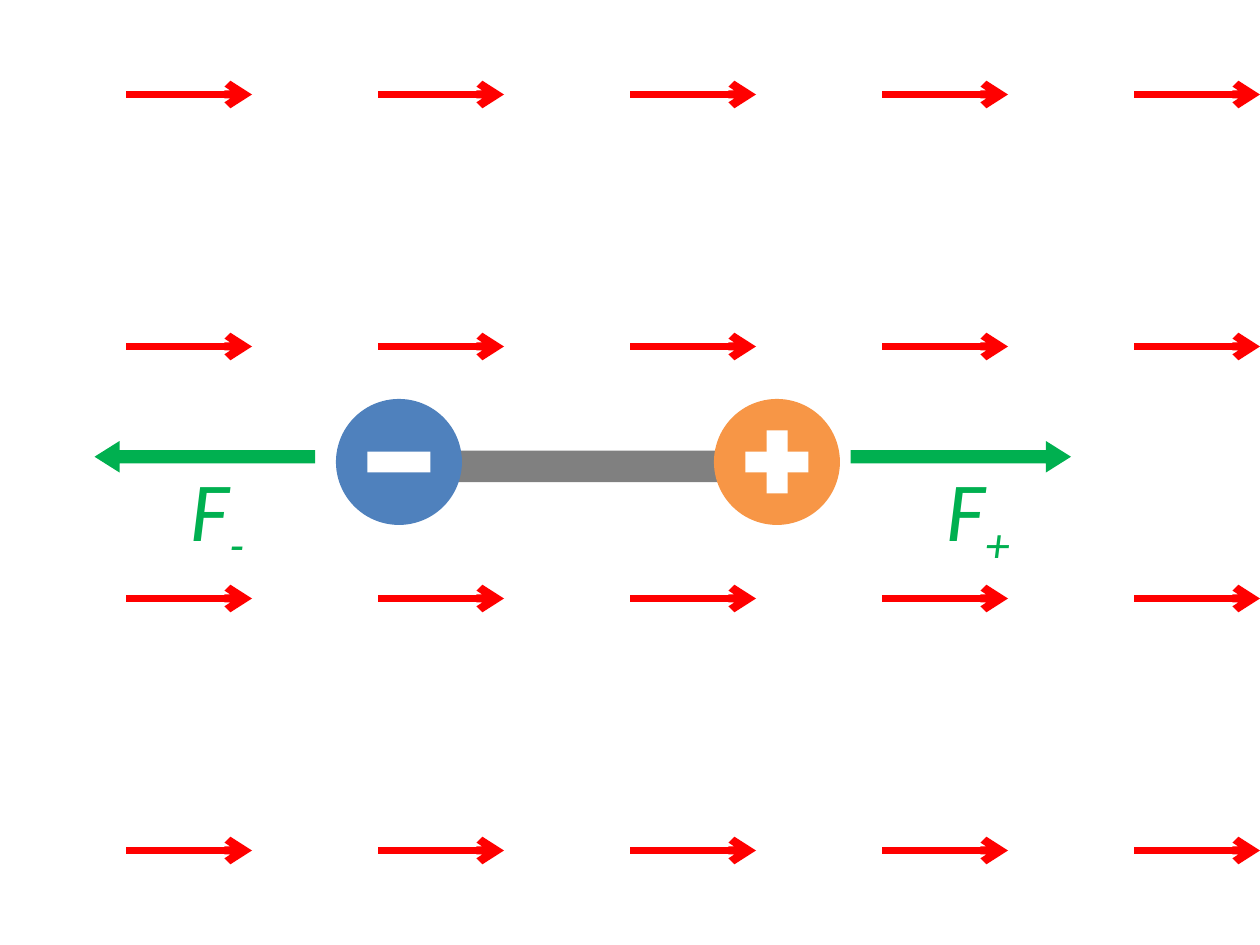
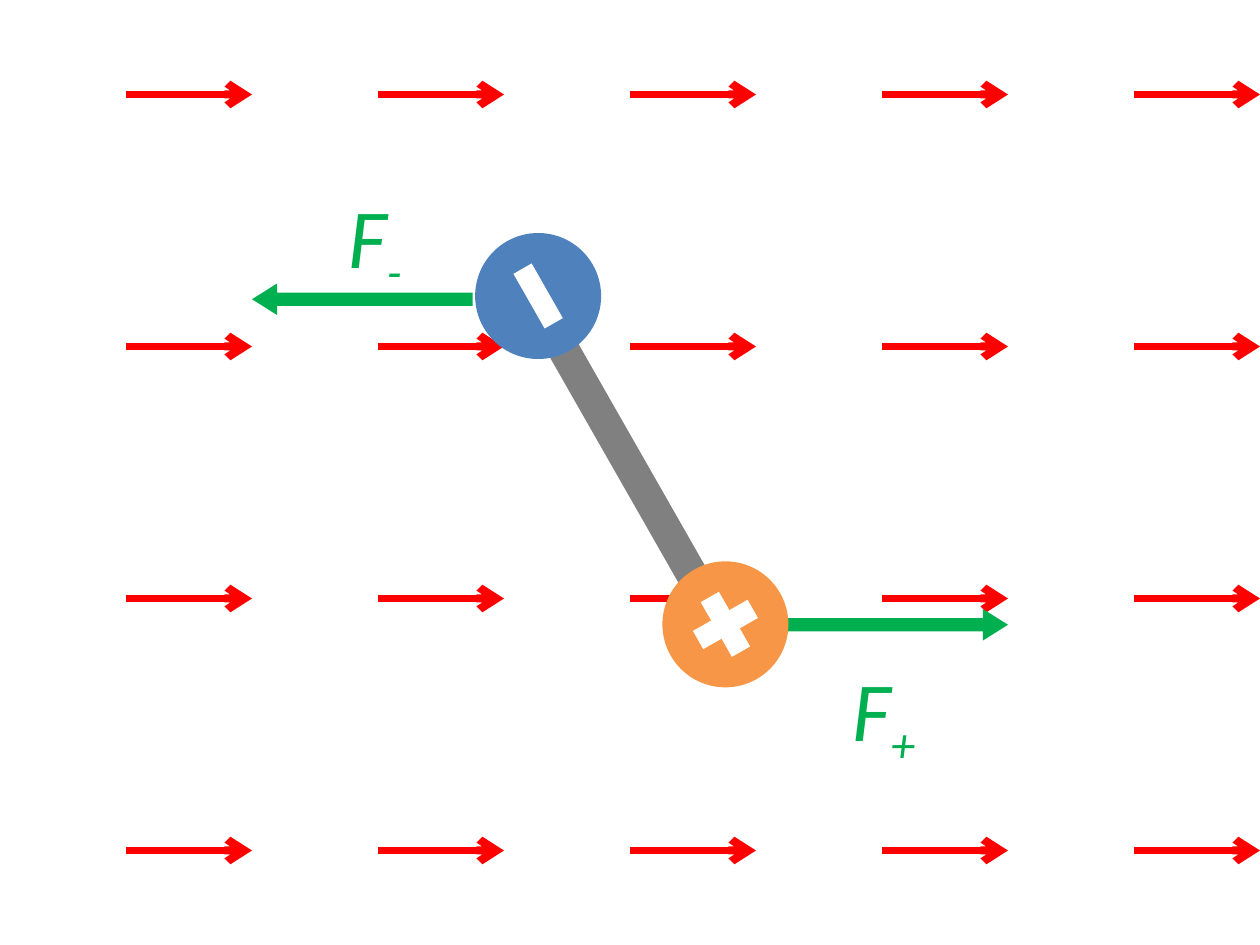
from dataclasses import dataclass
from itertools import product
from pptx import Presentation
from pptx.dml.color import RGBColor
from pptx.enum.shapes import MSO_CONNECTOR, MSO_SHAPE
from pptx.enum.text import MSO_AUTO_SIZE
from pptx.oxml.ns import qn
from pptx.util import Pt
from lxml import etree


@dataclass(frozen=True)
class Theme:
    field: str = "FF0000"
    force: str = "00B050"
    rod: str = "808080"
    minus: str = "4F81BD"
    plus: str = "F79646"
    sign: str = "FFFFFF"
    font: str = "Calibri"
    size: float = 48
    stroke: float = 4.5


THEME = Theme()

# Content, in points: dipole centre and turn, then each force's
# sign, arrow corner, label corner and label width
SLIDES = [
    {"centre": (336, 264), "turn": 0,
     "forces": [("-", (54, 252), (102, 258), 47),
                ("+", (486, 252), (534, 258), 52.5)]},
    {"centre": (361, 263), "turn": 60.3,
     "forces": [("-", (144, 162), (192, 102), 47),
                ("+", (450, 348), (480, 372), 52.5)]},
]

# Field grid: first arrow, equal step, arrow length
COLS, ROWS = 5, 4
START, STEP, REACH = (72, 54), 144, 72

# Dipole and force sizes
BALL, ARM = 72, 108
ROD, DROP = (156, 18), 2.5
BAR = (36, 12)
ARROW, HEAD = (126, 18), (0.421, 0.795)
LABEL_HIGH = 65.4


def paint(shape, color):
    shape.shadow.inherit = False
    shape.fill.solid()
    shape.fill.fore_color.rgb = RGBColor.from_string(color)
    shape.line.fill.background()
    return shape


def put(shapes, kind, centre, size, color):
    """Add a filled shape around its centre."""
    (x, y), (w, h) = centre, size
    shape = shapes.add_shape(kind, Pt(x - w / 2), Pt(y - h / 2), Pt(w), Pt(h))
    return paint(shape, color)


def draw_field(slide):
    for col, row in product(range(COLS), range(ROWS)):
        x, y = START[0] + col * STEP, START[1] + row * STEP
        line = slide.shapes.add_connector(
            MSO_CONNECTOR.STRAIGHT, Pt(x), Pt(y), Pt(x + REACH), Pt(y))
        line.line.color.rgb = RGBColor.from_string(THEME.field)
        line.line.width = Pt(THEME.stroke)
        etree.SubElement(line.line._get_or_add_ln(), qn("a:tailEnd"), type="arrow")
        etree.SubElement(line._element.spPr, qn("a:effectLst"))


def draw_force(slide, sign, corner, spot, wide):
    # Arrow
    kind = MSO_SHAPE.LEFT_ARROW if sign == "-" else MSO_SHAPE.RIGHT_ARROW
    arrow = slide.shapes.add_shape(kind, *map(Pt, corner + ARROW))
    for i, value in enumerate(HEAD):
        arrow.adjustments[i] = value
    paint(arrow, THEME.force)

    # Label with the sign as a subscript
    box = slide.shapes.add_textbox(*map(Pt, spot + (wide, LABEL_HIGH)))
    frame = box.text_frame
    frame.word_wrap = False
    frame.auto_size = MSO_AUTO_SIZE.SHAPE_TO_FIT_TEXT
    for text in ("F", sign):
        run = frame.paragraphs[0].add_run()
        run.text = text
        run.font.name = THEME.font
        run.font.size = Pt(THEME.size)
        run.font.italic = True
        run.font.color.rgb = RGBColor.from_string(THEME.force)
    run.font._element.set("baseline", "-25000")


def draw_dipole(slide, centre, turn):
    """Build the dipole level, then turn the whole group."""
    x, y = centre
    group = slide.shapes.add_group_shape()
    parts = group.shapes
    put(parts, MSO_SHAPE.RECTANGLE, (x, y + DROP), ROD, THEME.rod)
    for side, color, turns in ((-1, THEME.minus, (0,)), (1, THEME.plus, (0, 90))):
        spot = (x + side * ARM, y)
        put(parts, MSO_SHAPE.OVAL, spot, (BALL, BALL), color)
        for angle in turns:
            bar = put(parts, MSO_SHAPE.RECTANGLE, spot, BAR, THEME.sign)
            bar.rotation = angle
    group.rotation = turn


deck = Presentation()
deck.slide_width, deck.slide_height = Pt(720), Pt(540)
blank = deck.slide_layouts[6]
for scene in SLIDES:
    slide = deck.slides.add_slide(blank)
    draw_field(slide)
    for force in scene["forces"]:
        draw_force(slide, *force)
    draw_dipole(slide, scene["centre"], scene["turn"])
deck.save("out.pptx")
